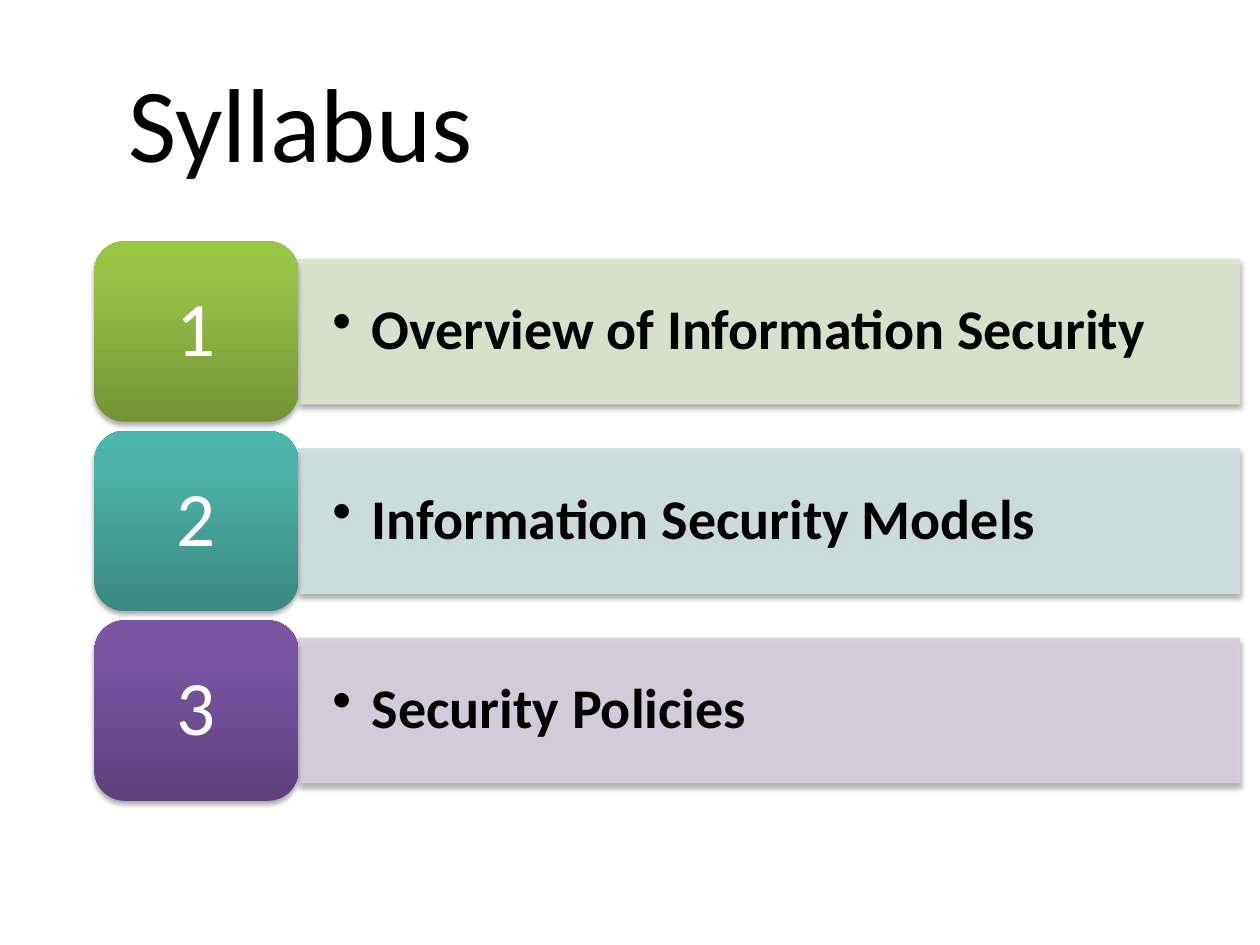
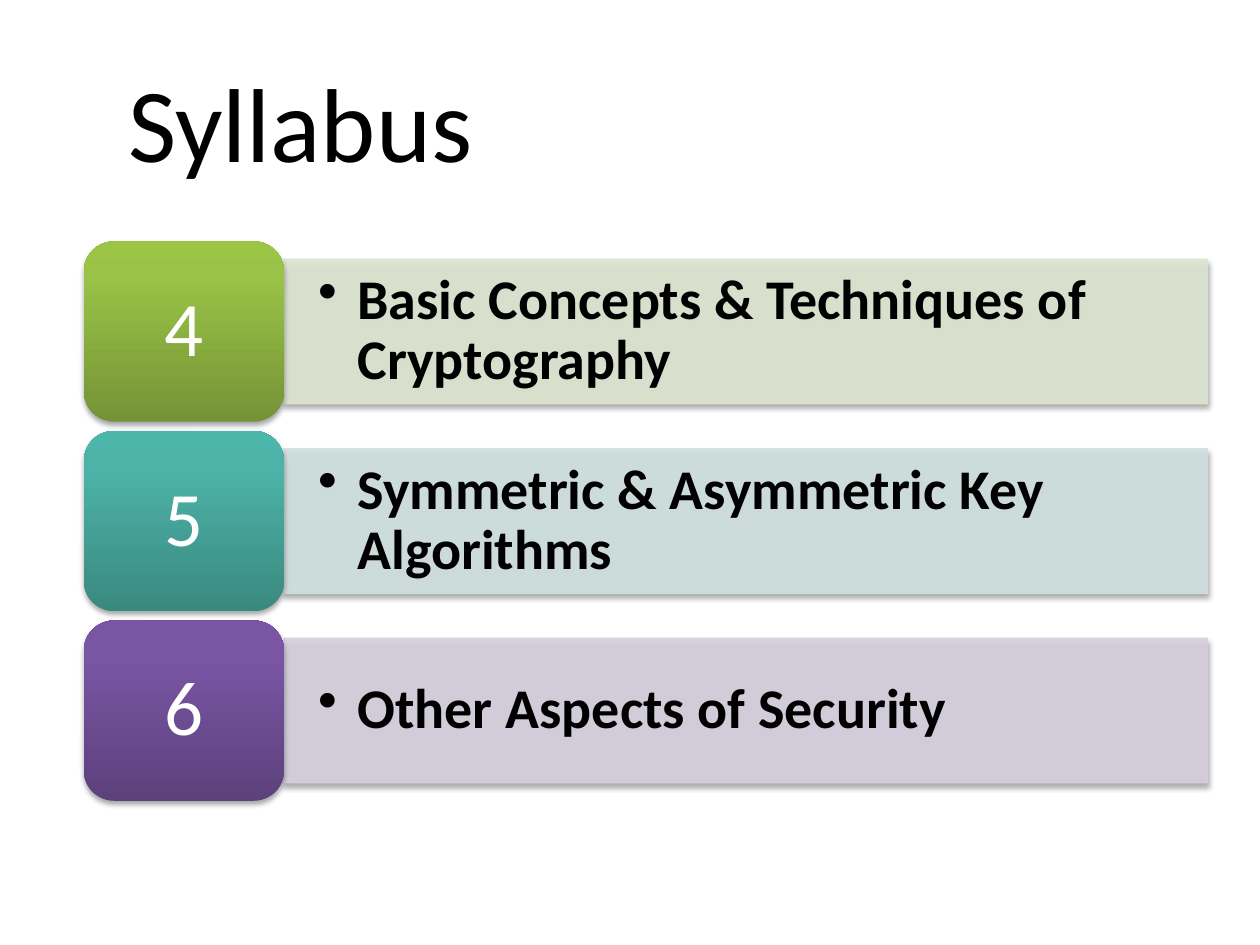
from copy import deepcopy

from lxml import etree
from pptx import Presentation
from pptx.dml.color import RGBColor
from pptx.enum.shapes import MSO_SHAPE
from pptx.enum.text import MSO_ANCHOR, PP_ALIGN
from pptx.oxml.ns import qn
from pptx.util import Pt

RECTANGLE = MSO_SHAPE.RECTANGLE
ROUNDED = MSO_SHAPE.ROUNDED_RECTANGLE
LEFT, CENTER = PP_ALIGN.LEFT, PP_ALIGN.CENTER
MIDDLE = MSO_ANCHOR.MIDDLE

TITLE = "Syllabus"
SLIDES = [
    {
        "left": 54, "tile_width": 116.5, "bar_width": 537.8, "first_number": 1,
        "topics": [
            "Overview of Information Security",
            "Information Security Models",
            "Security Policies",
        ],
    },
    {
        "left": 48, "tile_width": 114.3, "bar_width": 527.6, "first_number": 4,
        "topics": [
            "Basic Concepts & Techniques of Cryptography",
            "Symmetric & Asymmetric Key Algorithms",
            "Other Aspects of Security",
        ],
    },
]

# Bar colour, then the tile gradient from bottom to top
ROW_COLORS = [
    ("DDE5D0", ("759336", "99C247", "9BC545")),
    ("D0E1DF", ("3A897F", "4DB3A8", "4CB6AA")),
    ("D6D0DE", ("5C417C", "7955A4", "7955A6")),
]
GRADIENT_POSITIONS = (0, 0.8, 1)
BLACK, WHITE = "000000", "FFFFFF"
FONT = "Calibri"

FIRST_TOP, ROW_PITCH = 138, 108.3
TILE_HEIGHT, BAR_HEIGHT = 103, 82.6
BULLET_INDENT = 22.5


def rgb(color):
    return RGBColor.from_string(color)


def add_child(parent, tag, **attributes):
    child = etree.SubElement(parent, qn(tag))
    for name, value in attributes.items():
        child.set(name, str(value))
    return child


def add_shadow(shape):
    shape.shadow.inherit = False
    effects = shape._element.spPr.find(qn("a:effectLst"))
    shadow = add_child(effects, "a:outerShdw", blurRad=Pt(3.1), dist=Pt(1.8),
                       dir=90 * 60000, rotWithShape=0)
    color = add_child(shadow, "a:srgbClr", val=BLACK)
    add_child(color, "a:alpha", val=35000)


def set_translucent_color(shape, color):
    """Give the fill and the outline one colour at 90% opacity."""
    shape.fill.solid()
    shape.fill.fore_color.rgb = rgb(color)
    shape.line.color.rgb = rgb(color)
    shape.line.width = Pt(0.75)
    for element in shape._element.spPr.findall(".//" + qn("a:solidFill")):
        add_child(element.find(qn("a:srgbClr")), "a:alpha", val=90000)


def set_gradient(shape, colors):
    shape.fill.gradient()
    shape.fill.gradient_angle = 90
    stop_list = shape._element.spPr.find(".//" + qn("a:gsLst"))
    stop_list.append(deepcopy(stop_list[0]))
    for stop, position, color in zip(shape.fill.gradient_stops, GRADIENT_POSITIONS, colors):
        stop.position = position
        stop.color.rgb = rgb(color)
    shape.line.fill.background()


def write_text(shape, text, size, color, margins, align=LEFT, bold=False):
    frame = shape.text_frame
    frame.word_wrap = True
    frame.vertical_anchor = MIDDLE
    frame.margin_left = frame.margin_right = Pt(margins[0])
    frame.margin_top = frame.margin_bottom = Pt(margins[1])
    paragraph = frame.paragraphs[0]
    paragraph.alignment = align
    run = paragraph.add_run()
    run.text = text
    run.font.name = FONT
    run.font.size = Pt(size)
    run.font.bold = bold
    run.font.color.rgb = rgb(color)
    return paragraph


def add_bullet(paragraph):
    properties = paragraph._p.get_or_add_pPr()
    properties.set("marL", str(Pt(BULLET_INDENT)))
    properties.set("indent", str(-Pt(BULLET_INDENT)))
    add_child(properties, "a:buChar", char="•")


def add_shape(slide, kind, left, top, width, height):
    return slide.shapes.add_shape(kind, Pt(left), Pt(top), Pt(width), Pt(height))


def add_bar(slide, left, top, width, color, topic):
    bar = add_shape(slide, RECTANGLE, left, top, width, BAR_HEIGHT)
    set_translucent_color(bar, color)
    add_shadow(bar)
    paragraph = write_text(bar, topic, 32, BLACK, (19.5, 10), bold=True)
    paragraph.line_spacing = 0.9
    add_bullet(paragraph)


def add_tile(slide, left, top, width, colors, number):
    tile = add_shape(slide, ROUNDED, left, top, width, TILE_HEIGHT)
    set_gradient(tile, colors)
    add_shadow(tile)
    paragraph = write_text(tile, str(number), 44, WHITE, (13, 6.5), align=CENTER)
    paragraph.line_spacing = 0.9


def add_title(slide):
    title = slide.shapes.title
    title.left, title.top, title.width, title.height = Pt(66), Pt(24), Pt(636), Pt(90)
    write_text(title, TITLE, 60, BLACK, (7.2, 3.6))


def add_syllabus_slide(presentation, content):
    slide = presentation.slides.add_slide(presentation.slide_layouts[5])
    add_title(slide)
    left, tile_width = content["left"], content["tile_width"]
    for row, (topic, (bar_color, tile_colors)) in enumerate(zip(content["topics"], ROW_COLORS)):
        top = FIRST_TOP + row * ROW_PITCH
        bar_top = top + (TILE_HEIGHT - BAR_HEIGHT) / 2
        add_bar(slide, left + tile_width, bar_top, content["bar_width"], bar_color, topic)
        add_tile(slide, left, top, tile_width, tile_colors, content["first_number"] + row)


def main():
    presentation = Presentation()
    presentation.slide_width, presentation.slide_height = Pt(720), Pt(540)
    for content in SLIDES:
        add_syllabus_slide(presentation, content)
    presentation.save("out.pptx")


if __name__ == "__main__":
    main()
